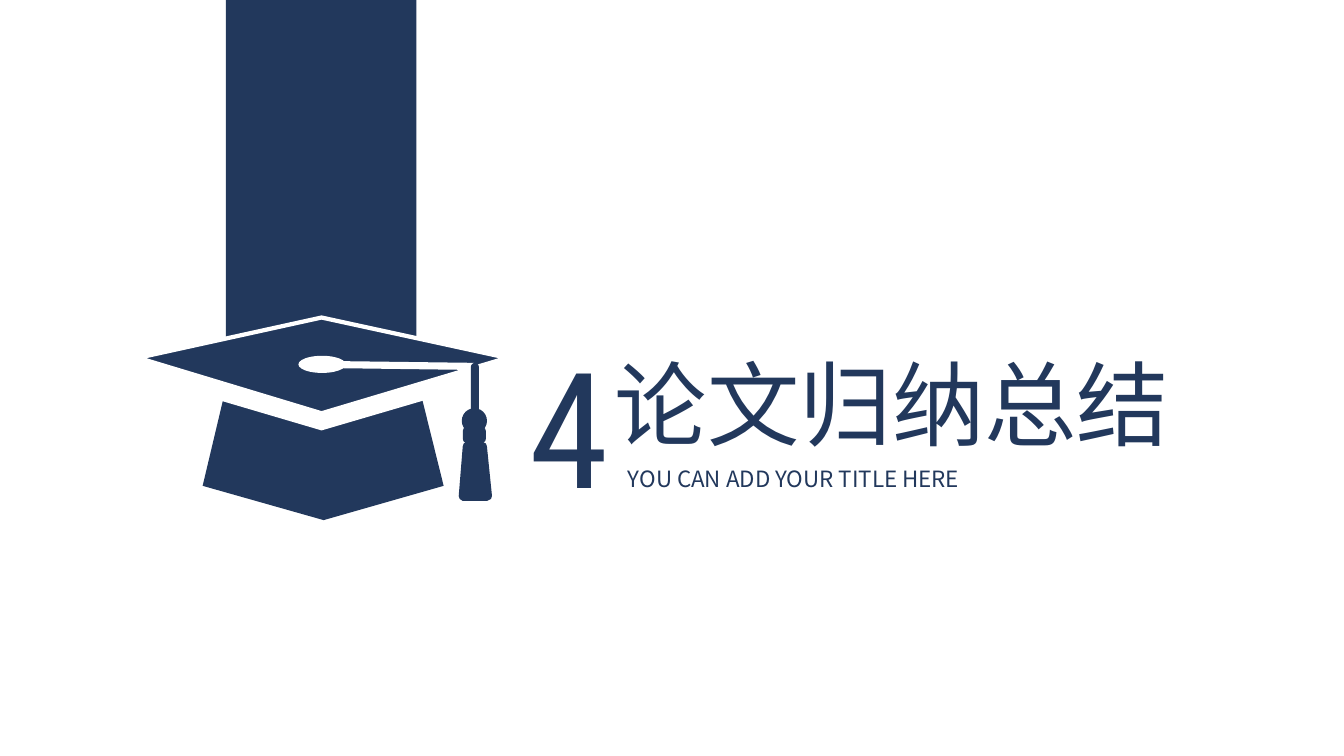
"""Build a section title slide with a graduation cap hanging from a band."""
import pptx
import pptx.util
import pptx.dml.color
import pptx.enum.shapes
import pptx.enum.text
import lxml.etree
from pptx.util import Inches

NAVY = pptx.dml.color.RGBColor(0x22, 0x38, 0x5C)
WHITE = pptx.dml.color.RGBColor(0xFF, 0xFF, 0xFF)
KIND = pptx.enum.shapes.MSO_SHAPE
ALIGN = pptx.enum.text.PP_ALIGN
SANS = "Noto Sans CJK SC"

deck = pptx.Presentation()
deck.slide_width, deck.slide_height = Inches(13.33), Inches(7.5)
slide = deck.slides.add_slide(deck.slide_layouts[6])


def paint(shape, color):
    shape.shadow.inherit = False
    shape.fill.solid()
    shape.fill.fore_color.rgb = color
    shape.line.fill.background()
    return shape


def outline(points, color):
    spots = [(Inches(x), Inches(y)) for x, y in points]
    pen = slide.shapes.build_freeform(*spots[0])
    pen.add_line_segments(spots[1:], close=True)
    return paint(pen.convert_to_shape(), color)


band = slide.shapes.add_shape(KIND.RECTANGLE, Inches(2.24), 0, Inches(1.89), Inches(4.38))
paint(band, NAVY)

base = [(4.4, 4.82), (3.21, 5.16), (2.01, 4.82), (2.25, 3.81), (4.15, 3.81)]
gap = [(5.03, 3.55), (3.19, 3.15), (1.36, 3.55), (1.36, 3.73), (3.19, 4.27), (5.03, 3.73)]
board = [(3.19, 4.1), (1.37, 3.55), (3.19, 3.15), (5.03, 3.55)]
cord = [(4.73, 3.64), (4.71, 3.66), (4.68, 3.67), (3.16, 3.65), (3.13, 3.64),
        (3.12, 3.61), (3.14, 3.59), (3.17, 3.58), (4.7, 3.6), (4.72, 3.61)]
fringe = [(4.88, 4.92), (4.87, 4.95), (4.83, 4.97), (4.59, 4.97), (4.56, 4.95), (4.55, 4.92),
          (4.59, 4.43), (4.6, 4.4), (4.64, 4.38), (4.78, 4.38), (4.82, 4.4), (4.83, 4.43)]

outline(base, NAVY)
outline(gap, WHITE)
top = outline(board, NAVY)
top.line.color.rgb = WHITE
top.line.width = pptx.util.Pt(3)
outline(cord, WHITE)
outline(fringe, NAVY)

parts = [
    (KIND.ROUNDED_RECTANGLE, 4.67, 3.6, 0.08, 0.52, 0.5, NAVY),
    (KIND.OVAL, 4.58, 4.05, 0.25, 0.25, None, NAVY),
    (KIND.ROUNDED_RECTANGLE, 4.59, 4.23, 0.23, 0.17, 0.29, NAVY),
    (KIND.OVAL, 2.96, 3.53, 0.47, 0.17, None, WHITE),
]
for kind, x, y, w, h, curve, color in parts:
    part = paint(slide.shapes.add_shape(kind, *map(Inches, (x, y, w, h))), color)
    if curve:
        part.adjustments[0] = curve

texts = [
    ("4", 5.15, 3.2, 1.1, 2.04, 115, "Roboto Condensed", ALIGN.LEFT),
    ("论文归纳总结", 6, 3.39, 5.92, 1.21, 66, SANS, ALIGN.JUSTIFY),
    ("YOU CAN ADD YOUR TITLE HERE", 6.13, 4.57, 5.63, 0.37, 16, SANS, ALIGN.JUSTIFY),
]
for words, x, y, w, h, size, face, align in texts:
    frame = slide.shapes.add_textbox(*map(Inches, (x, y, w, h))).text_frame
    frame.word_wrap = True
    frame.auto_size = pptx.enum.text.MSO_AUTO_SIZE.SHAPE_TO_FIT_TEXT
    frame.text = words
    line = frame.paragraphs[0]
    line.alignment = align
    font = line.runs[0].font
    font.size = pptx.util.Pt(size)
    font.name = face
    font.color.rgb = NAVY
    props = line.runs[0].font._element
    lxml.etree.SubElement(props, pptx.oxml.ns.qn("a:ea"), typeface=face)

deck.save("out.pptx")
